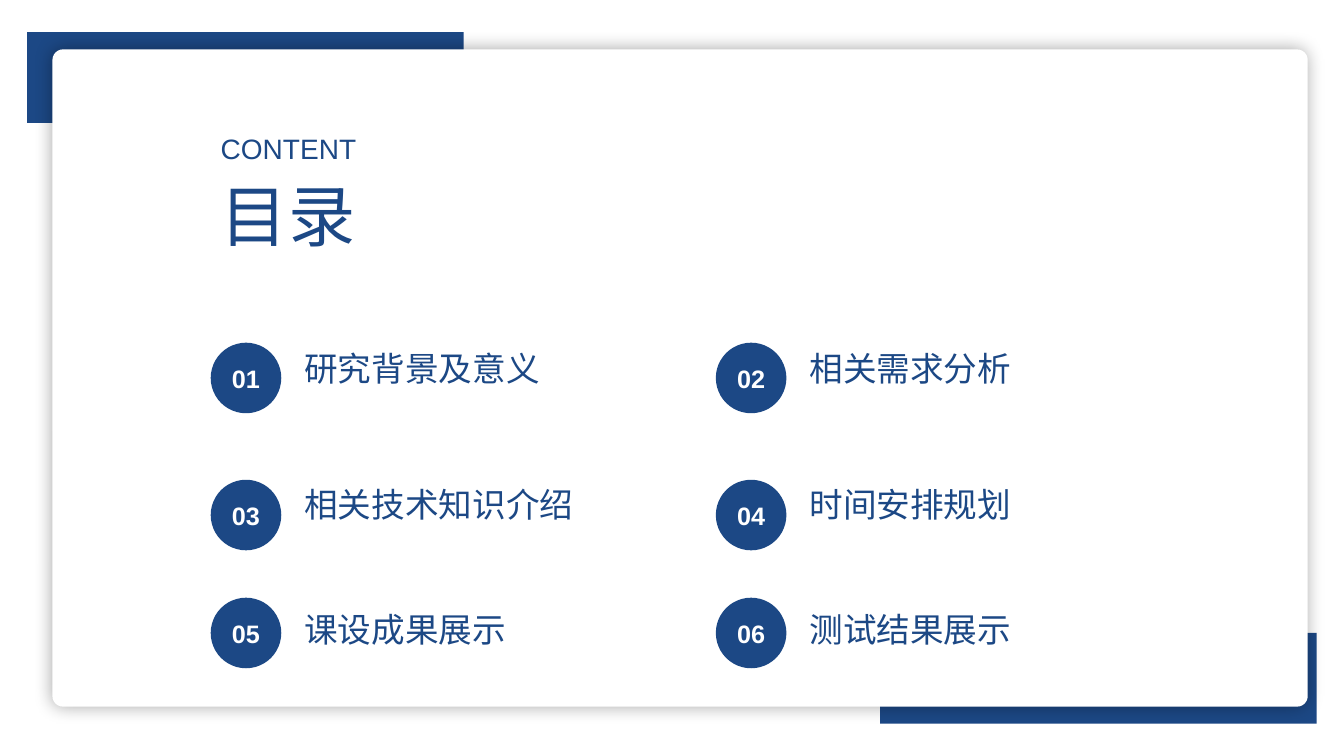
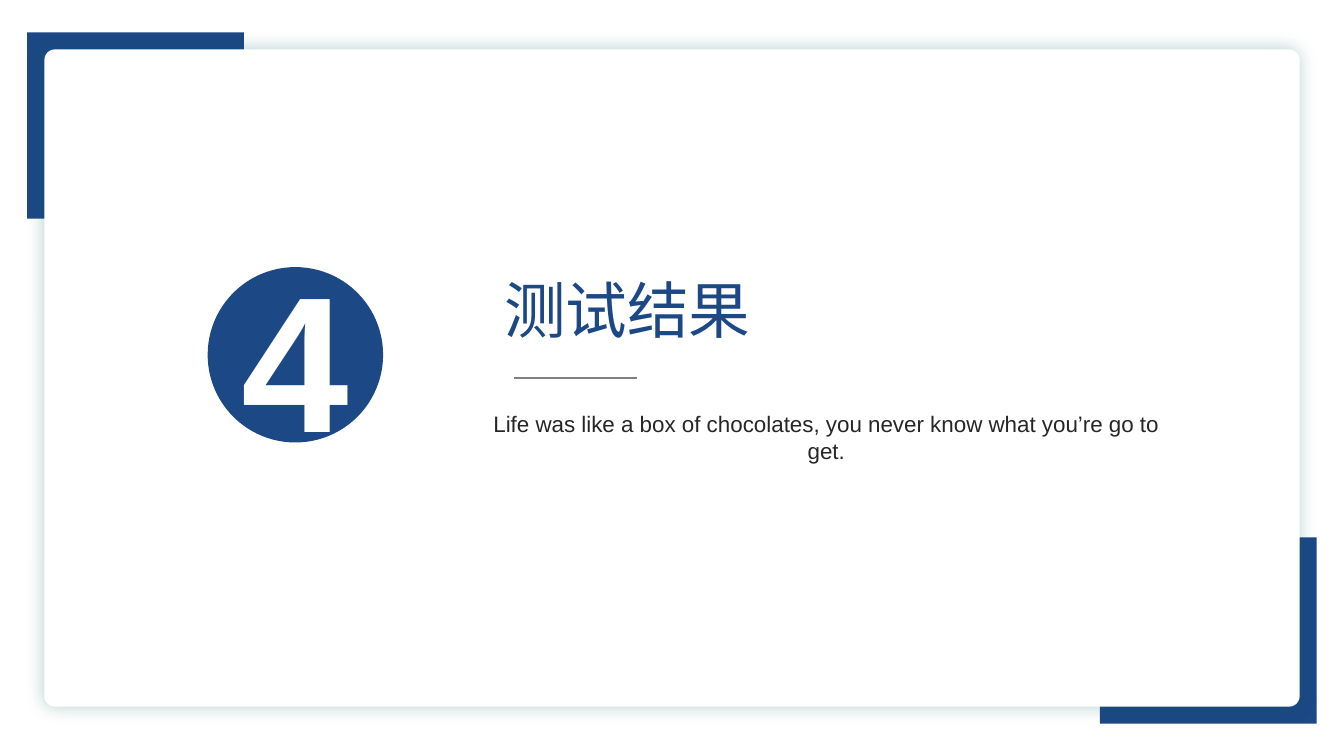
import lxml.etree
import pptx
import pptx.dml.color
import pptx.enum.shapes
import pptx.enum.text
import pptx.oxml.ns
import pptx.util

# Shared look
FONT = "Arial"
NAVY, WHITE, GREY, INK = "1C4885", "FFFFFF", "808080", "262626"
WIDTH, HEIGHT = 13.33, 7.5
MARGIN_X, MARGIN_Y = 0.27, 0.32
PANEL_TOP, PANEL_WIDTH, PANEL_HEIGHT = 0.49, 12.45, 6.52
TITLE_ONLY = 5

# Agenda grid: column lefts, then disc top and label top of each row
COLUMNS = (2.09, 7.1)
ROWS = ((3.4, 3.4), (4.76, 4.75), (5.93, 5.99))
DISC_SIZE, LABEL_OFFSET = 0.7, 0.83
TOPICS = ("研究背景及意义", "相关需求分析", "相关技术知识介绍",
          "时间安排规划", "课设成果展示", "测试结果展示")

SHAPES = pptx.enum.shapes.MSO_SHAPE
ALIGN = pptx.enum.text.PP_ALIGN
ANCHOR = pptx.enum.text.MSO_ANCHOR


def inches(*lengths):
    return [pptx.util.Inches(length) for length in lengths]


def color(value):
    return pptx.dml.color.RGBColor.from_string(value)


def write(frame, text, size, fill, align=ALIGN.JUSTIFY, bold=False):
    """Put one formatted run in a text frame."""
    para = frame.paragraphs[0]
    para.alignment = align
    span = para.add_run()
    span.text = text
    span.font.name = FONT
    span.font.size = pptx.util.Pt(size)
    span.font.bold = bold
    span.font.color.rgb = color(fill)


def add_filled(page, kind, at, fill):
    shape = page.shapes.add_shape(kind, *inches(*at))
    shape.shadow.inherit = False
    shape.fill.solid()
    shape.fill.fore_color.rgb = color(fill)
    shape.line.fill.background()
    return shape


def add_text(page, at, text, size, fill, align=ALIGN.JUSTIFY):
    frame = page.shapes.add_textbox(*inches(*at)).text_frame
    frame.word_wrap = True
    frame.auto_size = pptx.enum.text.MSO_AUTO_SIZE.SHAPE_TO_FIT_TEXT
    write(frame, text, size, fill, align)


def add_title(page, at, text, size):
    title = page.shapes.title
    title.left, title.top, title.width, title.height = inches(*at)
    title.text_frame.vertical_anchor = ANCHOR.TOP
    title.text_frame.auto_size = pptx.enum.text.MSO_AUTO_SIZE.NONE
    write(title.text_frame, text, size, NAVY)
    # Bring the title in front of the panel
    page.shapes.element.append(title.element)


def add_disc(page, left, top, size, text, text_size):
    disc = add_filled(page, SHAPES.OVAL, (left, top, size, size), NAVY)
    frame = disc.text_frame
    frame.margin_left = frame.margin_right = 0
    frame.margin_top = frame.margin_bottom = 0
    frame.vertical_anchor = ANCHOR.MIDDLE
    write(frame, text, text_size, WHITE, ALIGN.CENTER, bold=True)


def add_glow_shadow(shape, fill, opacity, blur):
    """Add an unshifted soft shadow; opacity is in percent."""
    qn = pptx.oxml.ns.qn
    effects = shape.element.spPr.find(qn("a:effectLst"))
    shadow = lxml.etree.SubElement(effects, qn("a:outerShdw"), algn="ctr", rotWithShape="0",
                                   blurRad=str(pptx.util.Inches(blur)))
    tint = lxml.etree.SubElement(shadow, qn("a:srgbClr"), val=fill)
    lxml.etree.SubElement(tint, qn("a:alpha"), val=str(opacity * 1000))


def add_rule(page, left, top, length):
    rule = page.shapes.add_connector(pptx.enum.shapes.MSO_CONNECTOR.STRAIGHT,
                                     *inches(left, top, left + length, top))
    rule.line.color.rgb = color(GREY)
    rule.line.width = pptx.util.Pt(2)
    lxml.etree.SubElement(rule.element.spPr, pptx.oxml.ns.qn("a:effectLst"))


def add_framed_page(deck, band, panel_left, shadow_fill, opacity):
    """New page: two opposite corner bands behind a white panel."""
    page = deck.slides.add_slide(deck.slide_layouts[TITLE_ONLY])
    width, height = band
    corners = ((MARGIN_X, MARGIN_Y),
               (WIDTH - MARGIN_X - width, HEIGHT - MARGIN_Y - height))
    for corner in corners:
        add_filled(page, SHAPES.RECTANGLE, corner + band, NAVY)
    panel = add_filled(page, SHAPES.ROUNDED_RECTANGLE,
                       (panel_left, PANEL_TOP, PANEL_WIDTH, PANEL_HEIGHT), WHITE)
    panel.adjustments[0] = 0.016
    add_glow_shadow(panel, shadow_fill, opacity, 0.17)
    return page


def build_agenda(deck):
    page = add_framed_page(deck, (4.33, 0.9), 0.52, "000000", 35)
    add_title(page, (COLUMNS[0], 1.68, 2.54, 0.91), "目录", 48)
    add_text(page, (COLUMNS[0], 1.26, 2.54, 0.44), "CONTENT", 20, NAVY)
    for index, topic in enumerate(TOPICS):
        row, column = divmod(index, len(COLUMNS))
        left = COLUMNS[column]
        disc_top, label_top = ROWS[row]
        add_disc(page, left, disc_top, DISC_SIZE, f"{index + 1:02d}", 18)
        add_text(page, (left + LABEL_OFFSET, label_top, 4.05, 0.5), topic, 24, NAVY)


def build_section(deck):
    page = add_framed_page(deck, (2.15, 1.85), 0.44, "085F55", 30)
    add_disc(page, 2.06, 2.65, 1.74, "4", 138)
    add_title(page, (4.9, 2.65, 6.3, 0.84), "测试结果", 44)
    add_rule(page, 5.1, 3.75, 1.22)
    add_text(page, (4.75, 4.02, 6.89, 0.64),
             "Life was like a box of chocolates, you never know what you’re go to get.",
             16, INK, ALIGN.CENTER)


def main():
    deck = pptx.Presentation()
    deck.slide_width, deck.slide_height = inches(WIDTH, HEIGHT)
    build_agenda(deck)
    build_section(deck)
    deck.save("out.pptx")


if __name__ == "__main__":
    main()
